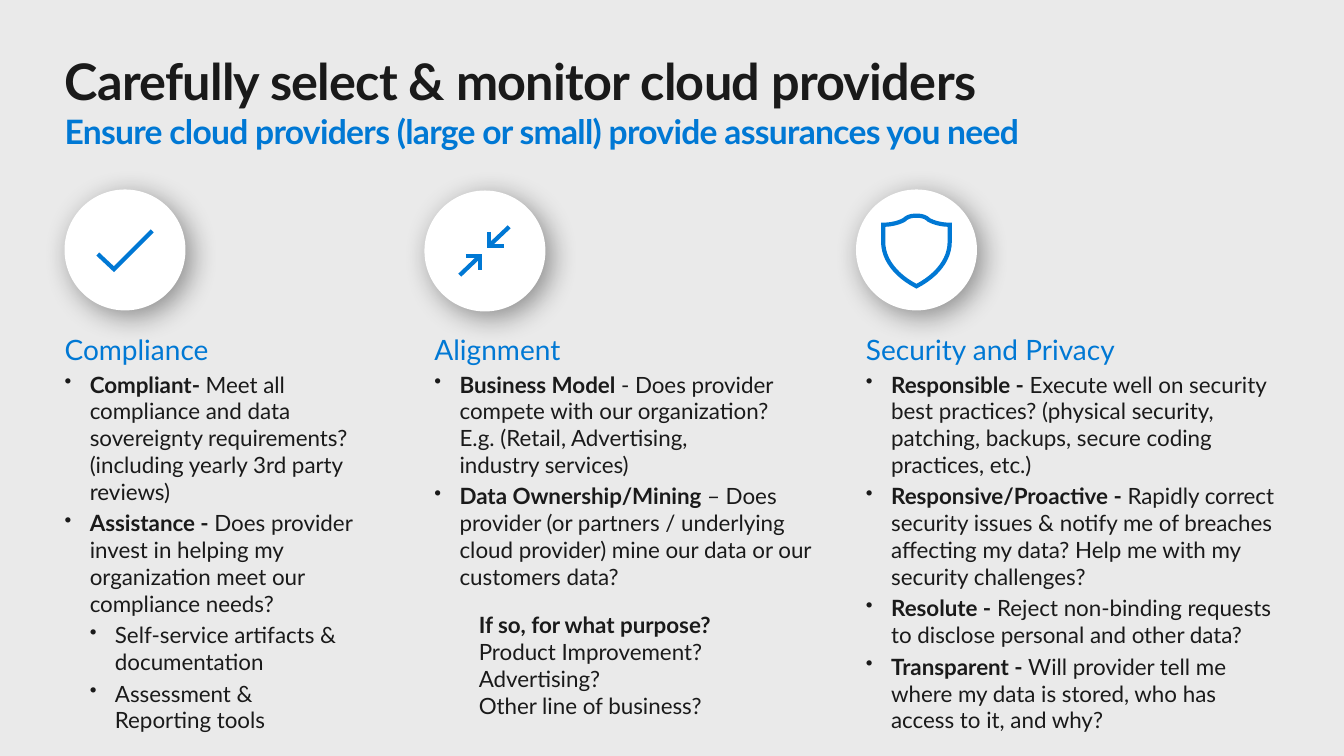
import lxml.etree
import pptx
import pptx.dml.color
import pptx.enum.shapes
import pptx.enum.text
import pptx.oxml
import pptx.oxml.ns
import pptx.util

PX = 9144
qn = pptx.oxml.ns.qn
RGB = pptx.dml.color.RGBColor.from_string
theme = {
    "font": "Lato",
    "back": RGB("EAEAEA"),
    "ink": RGB("1A1A1A"),
    "blue": RGB("0078D4"),
    "disc": RGB("FFFFFF"),
    "title": 36,
    "sub": 24,
    "head": 20,
    "body": 16,
    "gap": 3.2,
    "after": 12,
    "line": 3,
}


def style(font, size, color, bold=False):
    font.name = theme["font"]
    font.size = pptx.util.Pt(size)
    font.color.rgb = theme[color]
    font.bold = bold


def write(para, text, bold=None):
    for i, part in enumerate(text.split("\n")):
        if i:
            para.add_line_break()
        if part:
            run = para.add_run()
            run.text = part
            run.font.bold = bold


check = [[(151, 229), (113, 267), (97, 252)]]
arrows = [
    [(462, 254), (476, 254), (476, 268)],
    [(476, 254), (456, 273)],
    [(485, 230), (485, 244), (500, 244)],
    [(505, 225), (485, 244)],
]
curves = [
    [(0, 70), (21, 59), (33, 43), (33, 26)],
    [(33, 9), (25, 9), (17, 7), (12, 4)],
    [(12, 4), (9, 1), (5, 0), (0, 0)],
]
half = []
for curve in curves:
    for step in range(13):
        t = step / 12
        parts = ((1 - t) ** 3, 3 * t * (1 - t) ** 2, 3 * t * t * (1 - t), t ** 3)
        half.append([sum(k * pt[axis] for k, pt in zip(parts, curve)) for axis in (0, 1)])
shield = [[(909 + x, 214 + y) for x, y in half]
          + [(909 - x, 214 + y) for x, y in reversed(half)]]

columns = [
    {
        "disc": (64, 188), "icon": check, "closed": False,
        "box": (64, 325, 325, 412), "side": 0, "head": "Compliance",
        "items": [
            (25, True, "Compliant- ", "Meet all compliance and data sovereignty requirements? (including yearly 3rd party reviews)"),
            (25, True, "Assistance - ", "Does provider invest in helping my organization meet our compliance needs?"),
            (50, True, "", "Self-service artifacts & documentation"),
            (50, True, "", "Assessment &\nReporting tools"),
        ],
    },
    {
        "disc": (421, 189), "icon": arrows, "closed": False,
        "box": (421, 325, 402, 400), "side": 10, "head": "Alignment",
        "items": [
            (25, True, "Business Model ", "- Does provider compete with our organization?\nE.g. (Retail, Advertising,\nindustry services)"),
            (25, True, "Data Ownership/Mining ", "– Does provider (or partners / underlying cloud provider) mine our data or our customers data?"),
            (44, False, "If so, for what purpose?\n", "Product Improvement? Advertising?\nOther line of business?"),
        ],
    },
    {
        "disc": (849, 188), "icon": shield, "closed": True,
        "box": (849, 325, 431, 415), "side": 10, "head": "Security and Privacy",
        "items": [
            (25, True, "Responsible - ", "Execute well on security best practices? (physical security, patching, backups, secure coding practices, etc.)"),
            (25, True, "Responsive/Proactive - ", "Rapidly correct security issues & notify me of breaches affecting my data? Help me with my security challenges?"),
            (25, True, "Resolute -", " Reject non-binding requests to disclose personal and other data?"),
            (25, True, "Transparent - ", "Will provider tell me where my data is stored, who has access to it, and why?"),
        ],
    },
]

deck = pptx.Presentation()
deck.slide_width = 1333 * PX
deck.slide_height = 750 * PX
slide = deck.slides.add_slide(deck.slide_layouts[5])
slide.background.fill.solid()
slide.background.fill.fore_color.rgb = theme["back"]
shapes = slide.shapes

title = shapes.title
title.left, title.top, title.width, title.height = [n * PX for n in (64, 50, 1269, 101)]
frame = title.text_frame
frame.margin_left = frame.margin_right = frame.margin_top = frame.margin_bottom = 0
frame.word_wrap = True
frame.auto_size = pptx.enum.text.MSO_AUTO_SIZE.NONE
frame.vertical_anchor = pptx.enum.text.MSO_ANCHOR.TOP
para = frame.paragraphs[0]
para.alignment = pptx.enum.text.PP_ALIGN.LEFT
style(para.font, theme["title"], "ink", True)
write(para, "Carefully select & monitor cloud providers\nEnsure cloud providers (large or small) provide assurances you need")
style(para.runs[1].font, theme["sub"], "blue", True)
for run in para.runs:
    run.font._element.set("spc", "-50")

for col in columns:
    left, top = col["disc"]
    disc = shapes.add_shape(pptx.enum.shapes.MSO_SHAPE.OVAL, left * PX, top * PX, 120 * PX, 120 * PX)
    disc.fill.solid()
    disc.fill.fore_color.rgb = theme["disc"]
    disc.line.fill.background()
    disc.shadow.inherit = False
    glow = disc._element.spPr.find(qn("a:effectLst"))
    shade = lxml.etree.SubElement(glow, qn("a:outerShdw"), blurRad="254000", dist="76200",
                                  dir="2700000", algn="tl", rotWithShape="0")
    black = lxml.etree.SubElement(shade, qn("a:srgbClr"), val="000000")
    lxml.etree.SubElement(black, qn("a:alpha"), val="40000")

    strokes = [[(round(x * PX), round(y * PX)) for x, y in stroke] for stroke in col["icon"]]
    pen = shapes.build_freeform(*strokes[0][0])
    for i, stroke in enumerate(strokes):
        if i:
            pen.move_to(*stroke[0])
        pen.add_line_segments(stroke[1:], close=col["closed"])
    icon = pen.convert_to_shape()
    icon.fill.background()
    icon.line.color.rgb = theme["blue"]
    icon.line.width = pptx.util.Pt(theme["line"])
    lxml.etree.SubElement(icon._element.spPr.find(qn("a:ln")), qn("a:miter"), lim="800000")
    icon.shadow.inherit = False

    frame = shapes.add_textbox(*[n * PX for n in col["box"]]).text_frame
    frame.word_wrap = True
    frame.margin_left = frame.margin_right = col["side"] * PX
    frame.margin_top = frame.margin_bottom = 5 * PX
    para = frame.paragraphs[0]
    style(para.font, theme["head"], "blue")
    write(para, col["head"])
    for indent, dot, lead, text in col["items"]:
        para = frame.add_paragraph()
        props = para._p.get_or_add_pPr()
        props.set("marL", str(indent * PX))
        if dot:
            props.set("indent", str(-25 * PX))
            lxml.etree.SubElement(props, qn("a:buSzPct"), val="90000")
            lxml.etree.SubElement(props, qn("a:buChar"), char="•")
        style(para.font, theme["body"], "ink")
        para.space_before = pptx.util.Pt(theme["gap"] if dot else theme["gap"] + theme["after"])
        write(para, lead, True)
        write(para, text)

deck.save("out.pptx")
